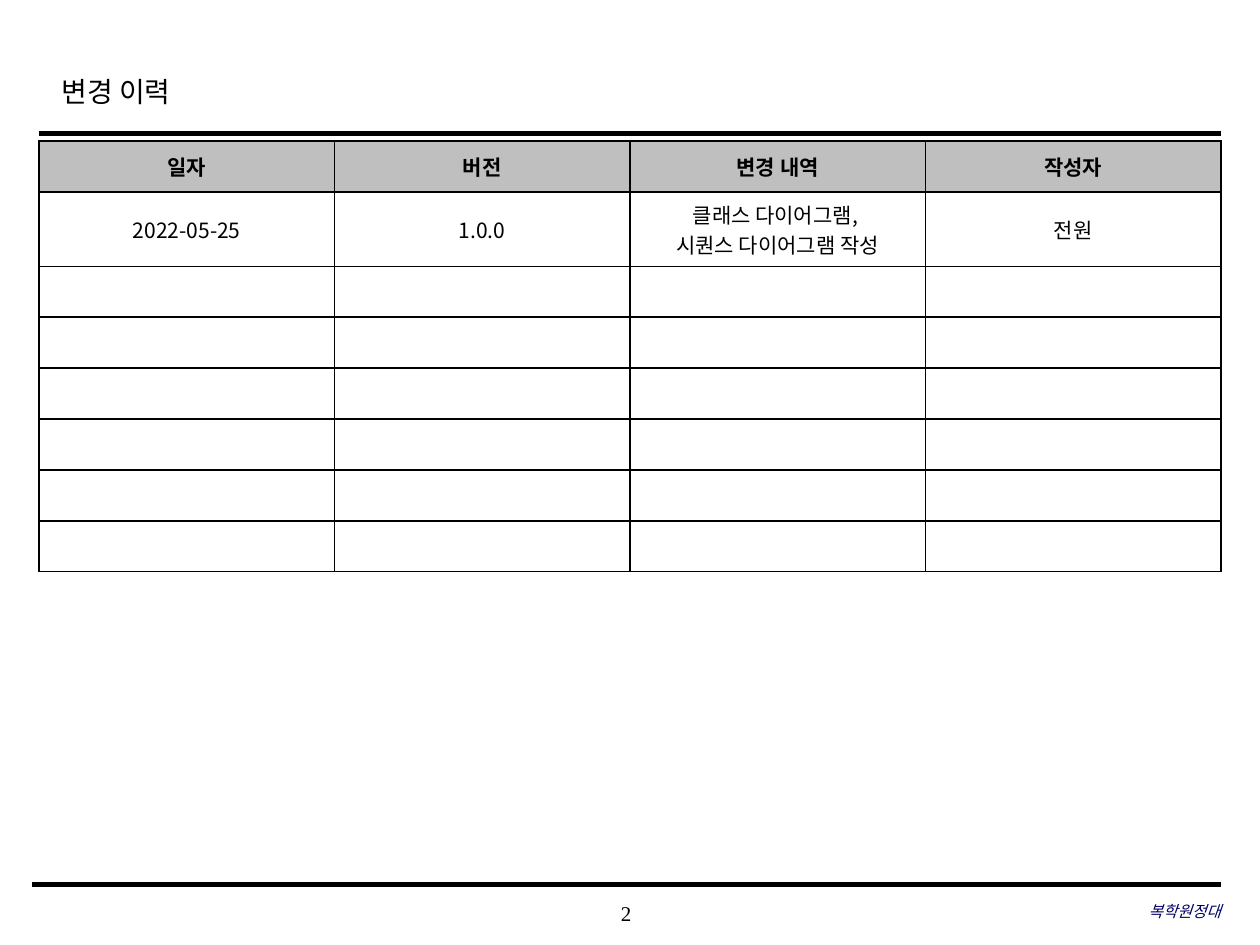
from lxml import etree
from pptx import Presentation
from pptx.dml.color import RGBColor
from pptx.enum.shapes import MSO_CONNECTOR
from pptx.enum.text import MSO_ANCHOR, PP_ALIGN
from pptx.oxml.ns import qn
from pptx.util import Inches, Pt

LEFT, CENTER, RIGHT = PP_ALIGN.LEFT, PP_ALIGN.CENTER, PP_ALIGN.RIGHT
TOP, MIDDLE = MSO_ANCHOR.TOP, MSO_ANCHOR.MIDDLE
STRAIGHT = MSO_CONNECTOR.STRAIGHT

BLACK = RGBColor(0x00, 0x00, 0x00)
WHITE = RGBColor(0xFF, 0xFF, 0xFF)
NAVY = RGBColor(0x00, 0x00, 0x66)
HEADER_GRAY = RGBColor(0xBF, 0xBF, 0xBF)
SERIF, KOREAN = "Times New Roman", "Noto Sans CJK KR"

# Content
TITLE = "변경 이력"
PAGE_NUMBER = "2"
TEAM = "복학원정대"
HEADERS = ["일자", "버전", "변경 내역", "작성자"]
CHANGES = [
    ["2022-05-25", "1.0.0", "클래스 다이어그램, \n시퀀스 다이어그램 작성", "전원"],
]
EMPTY_ROWS = 6

# Layout in inches
SLIDE_W, SLIDE_H = 10, 7.5
MARGIN = 0.31
RIGHT_EDGE = SLIDE_W - MARGIN
TABLE_TOP, TABLE_W, TABLE_H = 1.12, RIGHT_EDGE - MARGIN, 3.42
CHANGE_H = 0.59  # holds two lines of text
ROW_H = (TABLE_H - CHANGE_H * len(CHANGES)) / (1 + EMPTY_ROWS)
RULES = [(MARGIN, 1.06, 2.5), (0.25, 7.02, 3)]  # left, y, weight


def add_run(paragraph, text, size, font, color=BLACK, bold=False, italic=False):
    run = paragraph.add_run()
    run.text = text
    run.font.size, run.font.name = Pt(size), font
    run.font.bold, run.font.italic = bold, italic
    run.font.color.rgb = color
    east_asian = etree.SubElement(run.font._element, qn("a:ea"))
    east_asian.set("typeface", KOREAN)


def add_label(slide, box, text, size, align, anchor=MIDDLE, inset=(0, 0),
              spacing=1.0, color=BLACK, italic=False):
    frame = slide.shapes.add_textbox(*map(Inches, box)).text_frame
    frame.word_wrap = True
    frame.vertical_anchor = anchor
    frame.margin_left = frame.margin_right = Inches(inset[0])
    frame.margin_top = frame.margin_bottom = Inches(inset[1])
    paragraph = frame.paragraphs[0]
    paragraph.alignment, paragraph.line_spacing = align, spacing
    add_run(paragraph, text, size, SERIF, color, italic=italic)


def add_rule(slide, left, y, weight):
    rule = slide.shapes.add_connector(
        STRAIGHT, Inches(left), Inches(y), Inches(RIGHT_EDGE), Inches(y))
    rule.line.color.rgb, rule.line.width = BLACK, Pt(weight)
    etree.SubElement(rule._element.spPr, qn("a:effectLst"))


def add_borders(cell):
    properties = cell._tc.get_or_add_tcPr()
    # Borders come before the fill in the cell properties
    for position, side in enumerate(("a:lnL", "a:lnR", "a:lnT", "a:lnB")):
        border = etree.Element(qn(side), w=str(Pt(1)))
        fill = etree.SubElement(border, qn("a:solidFill"))
        etree.SubElement(fill, qn("a:srgbClr"), val=str(BLACK))
        properties.insert(position, border)


def add_history_table(slide):
    rows = [HEADERS] + CHANGES + [[""] * len(HEADERS)] * EMPTY_ROWS
    table = slide.shapes.add_table(
        len(rows), len(HEADERS), Inches(MARGIN), Inches(TABLE_TOP),
        Inches(TABLE_W), Inches(TABLE_H)).table
    for r, values in enumerate(rows):
        is_header = r == 0
        is_change = 1 <= r <= len(CHANGES)
        table.rows[r].height = Inches(CHANGE_H if is_change else ROW_H)
        for c, value in enumerate(values):
            cell = table.cell(r, c)
            cell.fill.solid()
            cell.fill.fore_color.rgb = HEADER_GRAY if is_header else WHITE
            cell.vertical_anchor = MIDDLE
            add_borders(cell)
            if not value:
                continue
            for i, line in enumerate(value.split("\n")):
                frame = cell.text_frame
                paragraph = frame.add_paragraph() if i else frame.paragraphs[0]
                paragraph.alignment = CENTER
                add_run(paragraph, line, 12, KOREAN, bold=is_header)


def main():
    prs = Presentation()
    prs.slide_width, prs.slide_height = Inches(SLIDE_W), Inches(SLIDE_H)
    slide = prs.slides.add_slide(prs.slide_layouts[6])

    # Title and rules
    for rule in RULES:
        add_rule(slide, *rule)
    add_label(slide, (0.39, 0.49, 7.55, 0.5), TITLE, 16, LEFT, TOP,
              inset=(0.1, 0.05), spacing=1.2)

    # Footer
    add_label(slide, (3.93, 7.08, 2.08, 0.33), PAGE_NUMBER, 12, CENTER)
    add_label(slide, (6.63, 7.07, 3.06, 0.33), TEAM, 9, RIGHT,
              color=NAVY, italic=True)

    # Change history
    add_history_table(slide)
    prs.save("out.pptx")


if __name__ == "__main__":
    main()
